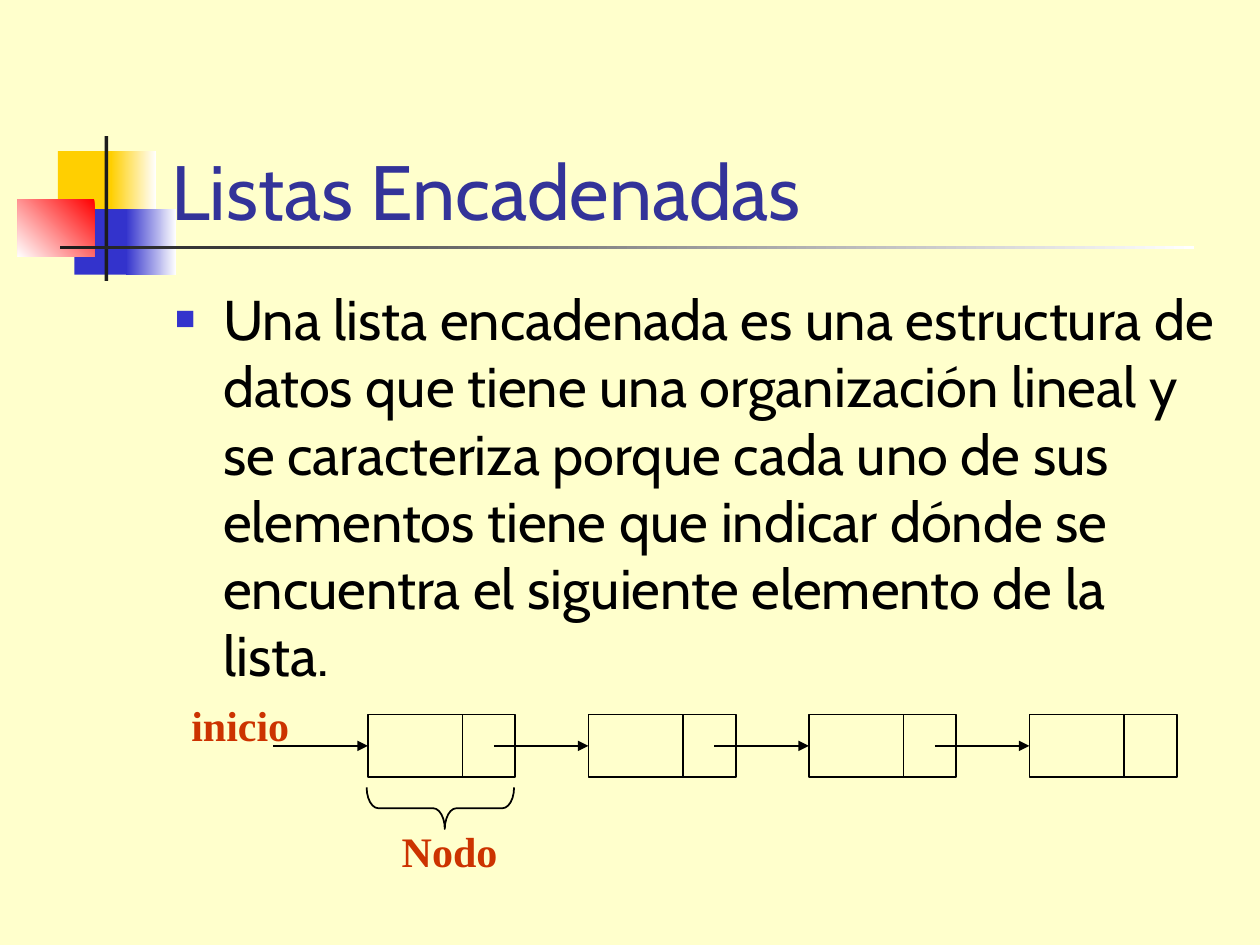
from lxml import etree
from pptx import Presentation
from pptx.dml.color import RGBColor
from pptx.enum.shapes import MSO_CONNECTOR, MSO_SHAPE
from pptx.enum.text import MSO_ANCHOR, MSO_AUTO_SIZE, PP_ALIGN
from pptx.oxml.ns import qn
from pptx.util import Inches, Pt

RECTANGLE, BRACE = MSO_SHAPE.RECTANGLE, MSO_SHAPE.RIGHT_BRACE
STRAIGHT = MSO_CONNECTOR.STRAIGHT
COLORS = {
    "background": "FFFFCC", "yellow": "FFCF01", "blue": "3333CC",
    "red": "FF0000", "white": "FFFFFF", "dark": "1C1C1C",
    "title": "333399", "black": "000000", "label": "CC3300",
}
RGB = {name: RGBColor.from_string(value) for name, value in COLORS.items()}
LINE_WIDTH = Pt(1)


def write_text(box, text, font, size, color, bold=False, anchor=MSO_ANCHOR.TOP,
               wrap=True, fit=MSO_AUTO_SIZE.NONE):
    """Fill a box with one left-aligned paragraph and return it."""
    frame = box.text_frame
    frame.word_wrap = wrap
    frame.auto_size = fit
    frame.vertical_anchor = anchor
    para = frame.paragraphs[0]
    para.alignment = PP_ALIGN.LEFT
    span = para.add_run()
    span.text = text
    span.font.name = font
    span.font.size = Pt(size)
    span.font.bold = bold
    span.font.color.rgb = RGB[color]
    return para


def draw_line(shapes, x1, y1, x2, y2, arrow=False):
    """Draw a thin black line, optionally with an arrowhead at its end."""
    line = shapes.add_connector(STRAIGHT, Inches(x1), Inches(y1), Inches(x2), Inches(y2))
    line.line.color.rgb = RGB["black"]
    line.line.width = LINE_WIDTH
    if arrow:
        etree.SubElement(line.line._get_or_add_ln(), qn("a:tailEnd"), type="triangle")
    etree.SubElement(line.element.spPr, qn("a:effectLst"))


deck = Presentation()
deck.slide_width, deck.slide_height = Inches(10), Inches(7.5)
page = deck.slides.add_slide(deck.slide_layouts[1])
page.background.fill.solid()
page.background.fill.fore_color.rgb = RGB["background"]
title, body = page.placeholders

# Corner ornament: left, top, width, height, colours, gradient angle
ornament = [
    (0.46, 1.2, 0.48, 0.52, ["yellow"], 0),
    (0.88, 1.2, 0.36, 0.52, ["white", "yellow"], 180),
    (0.59, 1.66, 0.46, 0.52, ["blue"], 0),
    (1, 1.66, 0.4, 0.52, ["white", "blue"], 180),
    (0.14, 1.58, 0.61, 0.46, ["red", "white"], 225),
    (0.83, 1.08, 0.03, 1.15, ["dark"], 0),
    (0.48, 1.95, 9, 0.03, ["white", "dark"], 180),
]
for left, top, width, height, colors, angle in ornament:
    block = page.shapes.add_shape(
        RECTANGLE, Inches(left), Inches(top), Inches(width), Inches(height))
    block.shadow.inherit = False
    block.line.fill.background()
    if len(colors) == 1:
        block.fill.solid()
        block.fill.fore_color.rgb = RGB[colors[0]]
    else:
        block.fill.gradient()
        block.fill.gradient_angle = angle
        for stop, color in zip(block.fill.gradient_stops, colors):
            stop.color.rgb = RGB[color]

# Title and body, in front of the ornament
for holder, (left, top, width, height) in (
    (title, (1.26, 0.67, 8.52, 1.25)),
    (body, (1.29, 2.21, 8.5, 4.5)),
):
    holder.left, holder.top = Inches(left), Inches(top)
    holder.width, holder.height = Inches(width), Inches(height)
    holder.element.getparent().append(holder.element)

write_text(title, "Listas Encadenadas", "Cabin", 44, "title", anchor=MSO_ANCHOR.BOTTOM)
para = write_text(
    body,
    "Una lista encadenada es una estructura de datos que tiene una organización "
    "lineal y se caracteriza porque cada uno de sus elementos tiene que indicar "
    "dónde se encuentra el siguiente elemento de la lista.",
    "Cabin", 32, "black")
para.space_before = Pt(8)
props = para._p.get_or_add_pPr()
props.set("marL", str(Inches(0.38)))
props.set("indent", str(Inches(-0.38)))
bullet_color = etree.SubElement(props, qn("a:buClr"))
etree.SubElement(bullet_color, qn("a:srgbClr"), val=COLORS["blue"])
etree.SubElement(props, qn("a:buSzPct"), val="60000")
etree.SubElement(props, qn("a:buFont"), typeface="Arial")
etree.SubElement(props, qn("a:buChar"), char="■")

# Linked nodes, each with the arrow that points at it
NODE_LEFT, NODE_TOP, NODE_STEP = 2.92, 5.67, 1.75
NODE_WIDTH, NODE_HEIGHT, DIVIDER, ARROW = 1.17, 0.5, 0.75, 0.75
middle = NODE_TOP + NODE_HEIGHT / 2
for index in range(4):
    left = NODE_LEFT + index * NODE_STEP
    node = page.shapes.add_group_shape()
    cell = node.shapes.add_shape(
        RECTANGLE, Inches(left), Inches(NODE_TOP), Inches(NODE_WIDTH), Inches(NODE_HEIGHT))
    cell.shadow.inherit = False
    cell.fill.background()
    cell.line.color.rgb = RGB["black"]
    cell.line.width = LINE_WIDTH
    draw_line(node.shapes, left + DIVIDER, NODE_TOP, left + DIVIDER, NODE_TOP + NODE_HEIGHT)
    draw_line(page.shapes, left - ARROW, middle, left, middle, arrow=True)

brace = page.shapes.add_shape(BRACE, Inches(3.33), Inches(5.83), Inches(0.33), Inches(1.17))
brace.rotation = 90
brace.adjustments[0] = 0.28
brace.adjustments[1] = 0.47
brace.shadow.inherit = False
brace.fill.background()
brace.line.color.rgb = RGB["black"]
brace.line.width = LINE_WIDTH

for text, left, top, width in (("Nodo", 3.09, 6.5, 0.96), ("inicio", 1.42, 5.5, 0.98)):
    label = page.shapes.add_textbox(Inches(left), Inches(top), Inches(width), Inches(0.5))
    write_text(label, text, "Times New Roman", 24, "label", bold=True,
               wrap=False, fit=MSO_AUTO_SIZE.SHAPE_TO_FIT_TEXT)

deck.save("out.pptx")
